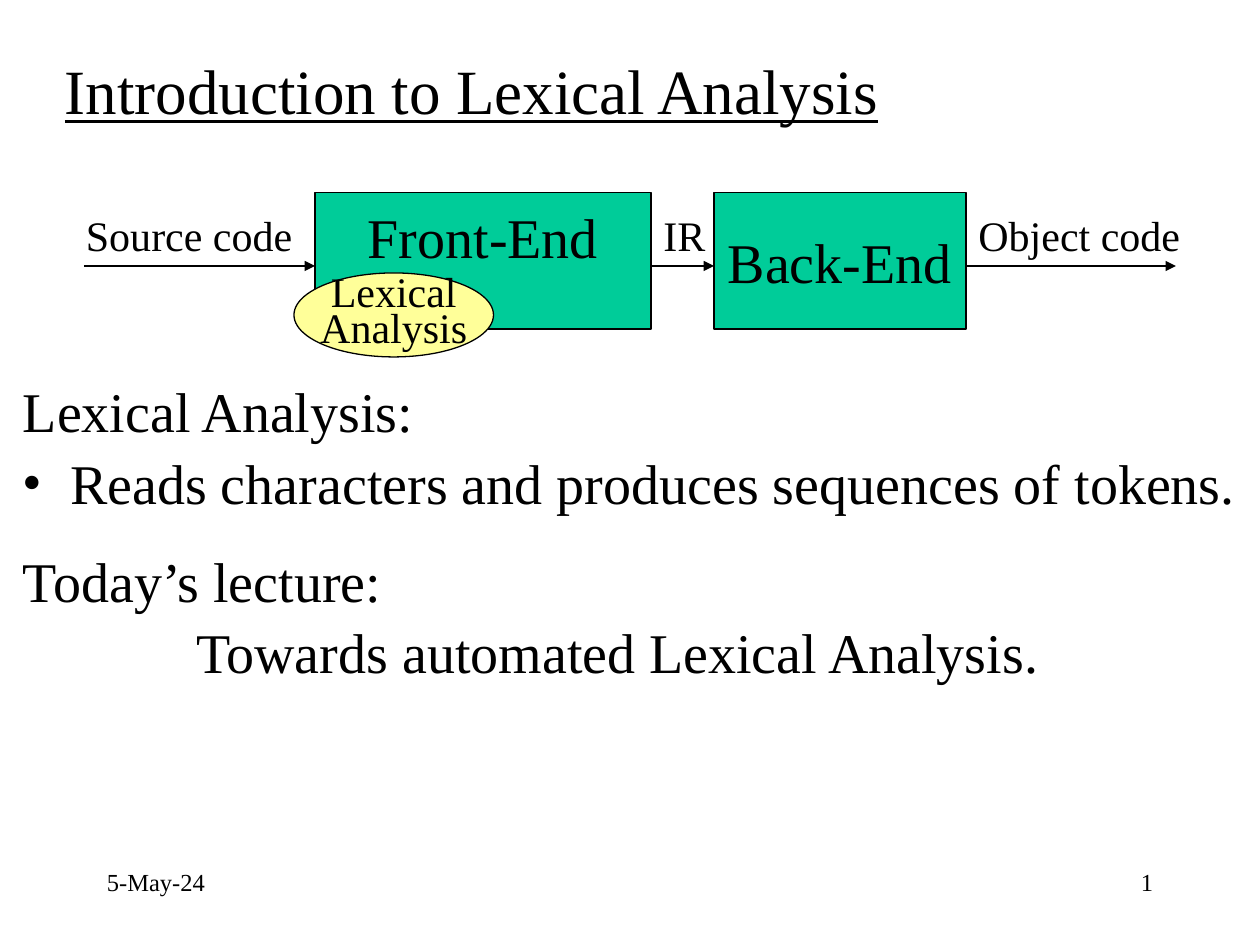
from typing import NamedTuple

from lxml.etree import SubElement
from pptx import Presentation
from pptx.dml.color import RGBColor
from pptx.enum.shapes import MSO_CONNECTOR, MSO_SHAPE
from pptx.enum.text import MSO_ANCHOR, MSO_AUTO_SIZE, PP_ALIGN
from pptx.oxml.ns import qn
from pptx.util import Pt

FONT = "Times New Roman"
BLACK = RGBColor(0, 0, 0)
GREEN = RGBColor(0x00, 0xCC, 0x99)
YELLOW = RGBColor(0xFF, 0xFF, 0x99)
HANGING = 27
FLOW_Y = 152


class Box(NamedTuple):
    left: float
    top: float
    width: float
    height: float


class Line(NamedTuple):
    text: str
    spacing: float = 1.0
    before: float = 0
    margin: float = 0
    indent: float = 0
    bullet: str = ""


class Stage(NamedTuple):
    lines: list[Line]
    box: Box
    preset: MSO_SHAPE
    fill: RGBColor
    size: float
    bottom_inset: float = 3.6


class Flow(NamedTuple):
    label: str
    start: float
    end: float
    label_left: float
    label_width: float


STAGES = [
    Stage([Line("Front-End")], Box(180, 110, 192, 78), MSO_SHAPE.RECTANGLE,
          GREEN, 32, bottom_inset=31.2),
    Stage([Line("Back-End")], Box(408, 110, 144, 78), MSO_SHAPE.RECTANGLE, GREEN, 32),
    Stage([Line("Lexical", 0.7), Line("Analysis", 0.7)], Box(168, 156, 114, 48),
          MSO_SHAPE.OVAL, YELLOW, 24),
]

FLOWS = [
    Flow("Source code", 48, 180, 42, 134),
    Flow("IR", 372, 408, 372, 40),
    Flow("Object code", 552, 672, 552, 131),
]

BODY = [
    Line("Lexical Analysis:", 0.9, 0, HANGING, -HANGING),
    Line("Reads characters and produces sequences of tokens.", 0.9, 6.4,
         HANGING, -HANGING, "•"),
    Line("Today’s lecture:", 1.2, 9.6, HANGING, -HANGING),
    Line("Towards automated Lexical Analysis.", 0.9, 6.4, 99),
]


def write(frame, lines: list[Line], *, size: float, align=PP_ALIGN.LEFT,
          anchor=MSO_ANCHOR.TOP, wrap: bool = True, underline: bool = False) -> None:
    frame.word_wrap = wrap
    frame.vertical_anchor = anchor
    for position, line in enumerate(lines):
        paragraph = frame.add_paragraph() if position else frame.paragraphs[0]
        properties = paragraph._p.get_or_add_pPr()
        properties.set("marL", str(Pt(line.margin)))
        properties.set("indent", str(Pt(line.indent)))
        if line.bullet:
            SubElement(properties, qn("a:buFont"), typeface=FONT)
            SubElement(properties, qn("a:buChar"), char=line.bullet)
        paragraph.alignment = align
        paragraph.line_spacing = line.spacing
        if line.before:
            paragraph.space_before = Pt(line.before)
        paragraph.font.size = Pt(size)
        run = paragraph.add_run()
        run.text = line.text
        run.font.name = FONT
        run.font.size = Pt(size)
        run.font.color.rgb = BLACK
        if underline:
            run.font.underline = True


def add_text(slide, box: Box, lines: list[Line], **text_format):
    frame = slide.shapes.add_textbox(*map(Pt, box)).text_frame
    write(frame, lines, **text_format)
    return frame


def add_stage(slide, stage: Stage) -> None:
    shape = slide.shapes.add_shape(stage.preset, *map(Pt, stage.box))
    shape.shadow.inherit = False
    shape.fill.solid()
    shape.fill.fore_color.rgb = stage.fill
    shape.line.color.rgb = BLACK
    shape.line.width = Pt(0.75)
    shape.text_frame.margin_bottom = Pt(stage.bottom_inset)
    write(shape.text_frame, stage.lines, size=stage.size, align=PP_ALIGN.CENTER,
          anchor=MSO_ANCHOR.MIDDLE, wrap=False)


def add_flow(slide, flow: Flow) -> None:
    """Draw an arrow along the flow line with its label above."""
    arrow = slide.shapes.add_connector(
        MSO_CONNECTOR.STRAIGHT, Pt(flow.start), Pt(FLOW_Y), Pt(flow.end), Pt(FLOW_Y))
    arrow.line.color.rgb = BLACK
    arrow.line.width = Pt(0.75)
    SubElement(arrow.line._get_or_add_ln(), qn("a:tailEnd"), type="triangle")
    SubElement(arrow._element.spPr, qn("a:effectLst"))
    label = add_text(slide, Box(flow.label_left, 116, flow.label_width, 36),
                     [Line(flow.label)], size=24, wrap=False)
    label.auto_size = MSO_AUTO_SIZE.SHAPE_TO_FIT_TEXT


def main() -> None:
    presentation = Presentation()
    presentation.slide_width, presentation.slide_height = Pt(720), Pt(540)
    slide = presentation.slides.add_slide(presentation.slide_layouts[6])

    add_text(slide, Box(30, 12, 666, 78), [Line("Introduction to Lexical Analysis")],
             size=36, anchor=MSO_ANCHOR.MIDDLE, underline=True)
    add_text(slide, Box(6, 216, 714, 224), BODY, size=32)
    for stage in STAGES:
        add_stage(slide, stage)
    for flow in FLOWS:
        add_flow(slide, flow)
    add_text(slide, Box(54, 492, 150, 36), [Line("5-May-24")], size=14)
    add_text(slide, Box(516, 492, 150, 36), [Line("1")], size=14, align=PP_ALIGN.RIGHT)

    presentation.save("out.pptx")


if __name__ == "__main__":
    main()
